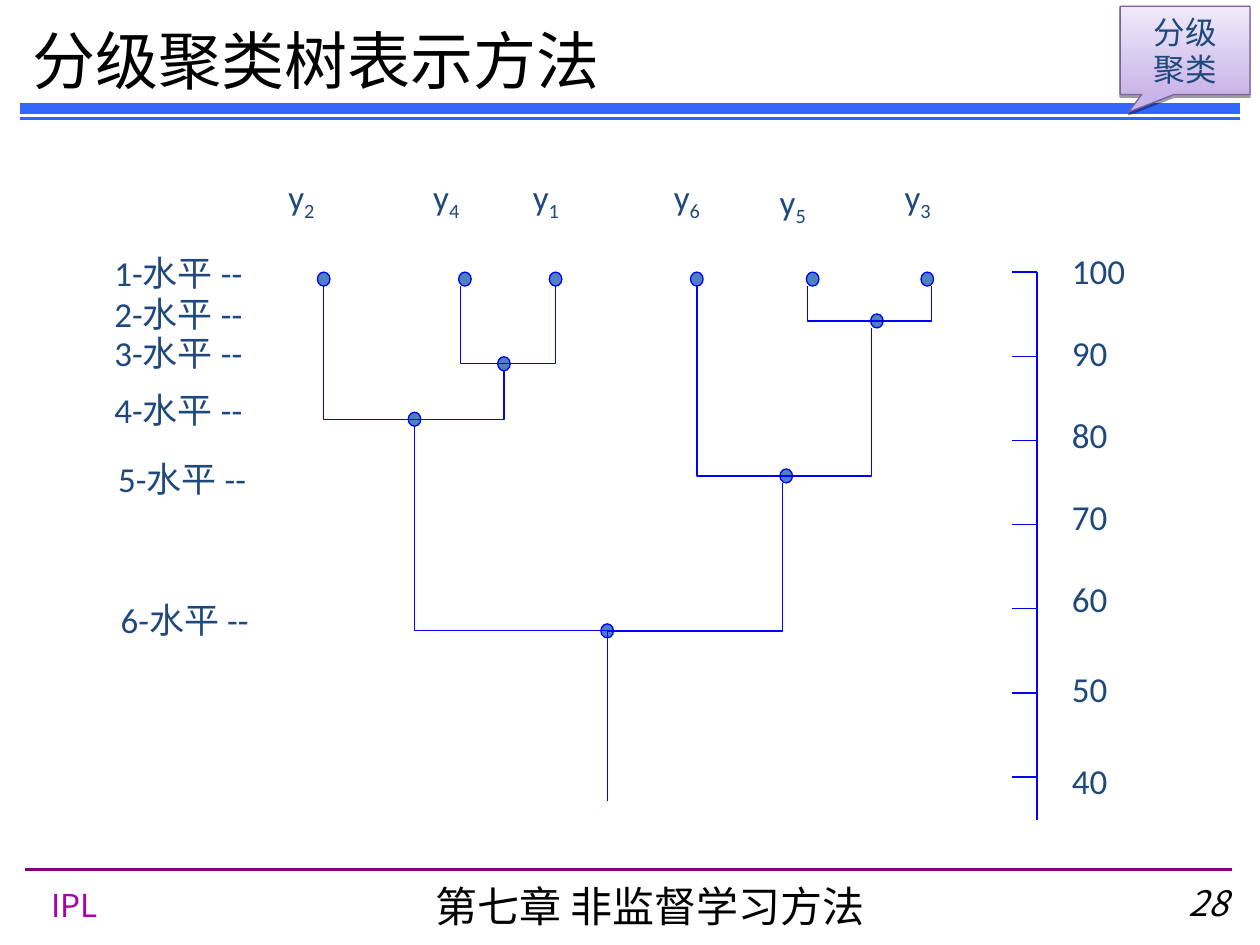
import pptx
import pptx.util
import pptx.dml.color
import pptx.enum.shapes
import pptx.enum.text
import pptx.oxml
import pptx.oxml.ns
import lxml.etree

Pt = pptx.util.Pt
SHAPES = pptx.enum.shapes.MSO_SHAPE
ALIGN = pptx.enum.text.PP_ALIGN
ANCHOR = pptx.enum.text.MSO_ANCHOR
CALIBRI, NOTO = "Calibri", "Noto Sans CJK SC"
NAVY, BLUE, BLACK = "1F497D", "0000FF", "000000"

# Content: rules and footer as left, y, right, colour, weight
RULES = [
    (14.4, 496.8, 704.2, "800080", 1.5),
    (11.5, 67.7, 708.5, "3366FF", 2),
    (11.5, 61.9, 708.5, "3366FF", 6),
]
# Text, box, size, font, colour, alignment, italic
FRAME_TEXTS = [
    ("IPL", (22.3, 502.6, 60, 28), 18, NOTO, "A603AB", ALIGN.LEFT, False),
    ("第七章 非监督学习方法", (219.6, 499.7, 303.8, 36), 24, NOTO, BLACK, ALIGN.CENTER, False),
    ("28", (646.6, 500.4, 61.9, 36.7), 20, NOTO, BLACK, ALIGN.RIGHT, True),
]
TITLE = "分级聚类树表示方法"
CALLOUT_LINES = ["分级", "聚类"]

# Sample labels: index, left, top
SAMPLES = [("2", 157.7, 96.5), ("4", 240.5, 96.5), ("1", 297.4, 96.5),
           ("6", 378, 96.5), ("5", 438.5, 99.4), ("3", 509.8, 96.5)]
# Levels: text, left, top
LEVELS = [("1-水平 --", 58.3, 140.4), ("2-水平 --", 58.3, 163.4),
          ("3-水平 --", 58.3, 185.8), ("4-水平 --", 58.3, 218.2),
          ("5-水平 --", 60.5, 257.8), ("6-水平 --", 61.9, 338.4)]
# Similarity scale: value, label top
SCALE = [("100", 139), ("90", 185.8), ("80", 232.6), ("70", 279.4),
         ("60", 326.2), ("50", 378), ("40", 430.6)]

# Tree nodes: centre x, centre y
LEAF_Y = 159.5
NODES = {
    "y2": (185, LEAF_Y), "y4": (265.7, LEAF_Y), "y1": (317.5, LEAF_Y),
    "y6": (398.2, LEAF_Y), "y5": (464.4, LEAF_Y), "y3": (529.9, LEAF_Y),
    "y4+y1": (288, 207.9), "left": (236.9, 239.6),
    "y5+y3": (501.1, 183.4), "right": (449.3, 272), "root": (347, 360.5),
}
# Branches: child, parent, sideways shift of the upright part
BRANCHES = [
    ("y4", "y4+y1", -2.4), ("y1", "y4+y1", 0),
    ("y2", "left", 0), ("y4+y1", "left", 0),
    ("y5", "y5+y3", -2.9), ("y3", "y5+y3", 2.2),
    ("y6", "right", 0), ("y5+y3", "right", -2.9),
    ("left", "root", 0), ("right", "root", -2.2),
]
NODE_WIDTH, NODE_HEIGHT = 7.2, 8
AXIS_X, AXIS_TOP, AXIS_BOTTOM = 592.6, 155.5, 468.7
TICK_LENGTH, TICK_STEP = 14.4, 48.1

deck = pptx.Presentation()
deck.slide_width, deck.slide_height = Pt(720), Pt(540)
page = deck.slides.add_slide(deck.slide_layouts[6])


def color(value):
    return pptx.dml.color.RGBColor.from_string(value)


def add_span(para, text, size, font=CALIBRI, tint=NAVY, italic=False):
    span = para.add_run()
    span.text = text
    span.font.size = Pt(size)
    span.font.name = font
    span.font.italic = italic
    span.font.color.rgb = color(tint)
    east_asian = lxml.etree.SubElement(span.font._element, pptx.oxml.ns.qn("a:ea"))
    east_asian.set("typeface", NOTO)
    return span


def add_box(bounds, align=ALIGN.LEFT):
    box = page.shapes.add_textbox(*map(Pt, bounds))
    box.text_frame.word_wrap = True
    para = box.text_frame.paragraphs[0]
    para.alignment = align
    return box, para


def add_line(x1, y1, x2, y2, tint=BLUE, weight=0.75):
    line = page.shapes.add_connector(
        pptx.enum.shapes.MSO_CONNECTOR.STRAIGHT, Pt(x1), Pt(y1), Pt(x2), Pt(y2))
    line.line.color.rgb = color(tint)
    line.line.width = Pt(weight)
    lxml.etree.SubElement(line._element.spPr, pptx.oxml.ns.qn("a:effectLst"))


def set_outline(shape, tint):
    shape.shadow.inherit = False
    shape.line.color.rgb = color(tint)
    shape.line.width = Pt(0.75)


# Footer, rules and title
for rule_left, rule_y, rule_right, tint, weight in RULES:
    add_line(rule_left, rule_y, rule_right, rule_y, tint, weight)
for text, bounds, size, font, tint, align, italic in FRAME_TEXTS:
    box, para = add_box(bounds, align)
    add_span(para, text, size, font, tint, italic)
box, para = add_box((11.5, 11.5, 404.6, 44.6))
box.text_frame.vertical_anchor = ANCHOR.MIDDLE
add_span(para, TITLE, 36, tint=BLACK)

# Tree nodes
for center_x, center_y in NODES.values():
    node = page.shapes.add_shape(
        SHAPES.OVAL, Pt(center_x - NODE_WIDTH / 2), Pt(center_y - NODE_HEIGHT / 2),
        Pt(NODE_WIDTH), Pt(NODE_HEIGHT))
    node.fill.solid()
    node.fill.fore_color.rgb = color("4F81BD")
    set_outline(node, BLUE)

# Branches: down from the child, then across to the parent
for child, parent, shift in BRANCHES:
    child_x, child_y = NODES[child]
    parent_x, parent_y = NODES[parent]
    upright_x = child_x + shift
    outline = page.shapes.build_freeform(
        Pt(upright_x), Pt(child_y + NODE_HEIGHT / 2))
    outline.add_line_segments(
        [(Pt(upright_x), Pt(parent_y)), (Pt(parent_x), Pt(parent_y))], close=False)
    branch = outline.convert_to_shape()
    branch.fill.background()
    set_outline(branch, BLUE)
root_x, root_y = NODES["root"]
add_line(root_x, root_y, root_x, 458)

# Sample and level labels
for index, left, top in SAMPLES:
    box, para = add_box((left, top, 53.3, 34.6))
    add_span(para, "y", 20)
    add_span(para, index, 20).font._element.set("baseline", "-25000")
for text, left, top in LEVELS:
    box, para = add_box((left, top, 112.3, 31.7))
    add_span(para, text, 20)

# Similarity scale
add_line(AXIS_X, AXIS_TOP, AXIS_X, AXIS_BOTTOM)
for position, (value, top) in enumerate(SCALE):
    tick_y = AXIS_TOP + position * TICK_STEP
    add_line(AXIS_X - TICK_LENGTH, tick_y, AXIS_X, tick_y)
    box, para = add_box((605.5, top, 60.5, 31.7))
    add_span(para, value, 20)

# Callout
callout = page.shapes.add_shape(
    SHAPES.RECTANGULAR_CALLOUT, Pt(640.1), Pt(3.6), Pt(74.2), Pt(50.4))
callout.adjustments[0], callout.adjustments[1] = -0.435, 0.7
callout.fill.gradient()
callout.fill.gradient_angle = 90
for stop, tint in zip(callout.fill.gradient_stops, ("C9B5E8", "F0EAF9")):
    stop.color.rgb = color(tint)
set_outline(callout, "7D60A0")
effects = callout._element.spPr.find(pptx.oxml.ns.qn("a:effectLst"))
effects.append(pptx.oxml.parse_xml(
    '<a:outerShdw xmlns:a="http://schemas.openxmlformats.org/drawingml/2006/main" '
    'blurRad="0" dist="20320" dir="5400000" rotWithShape="0">'
    '<a:srgbClr val="000000"><a:alpha val="38000"/></a:srgbClr></a:outerShdw>'))
callout.text_frame.vertical_anchor = ANCHOR.MIDDLE
para = callout.text_frame.paragraphs[0]
para.alignment = ALIGN.CENTER
for number, text in enumerate(CALLOUT_LINES):
    if number:
        para.add_line_break()
    add_span(para, text, 18)

deck.save("out.pptx")
